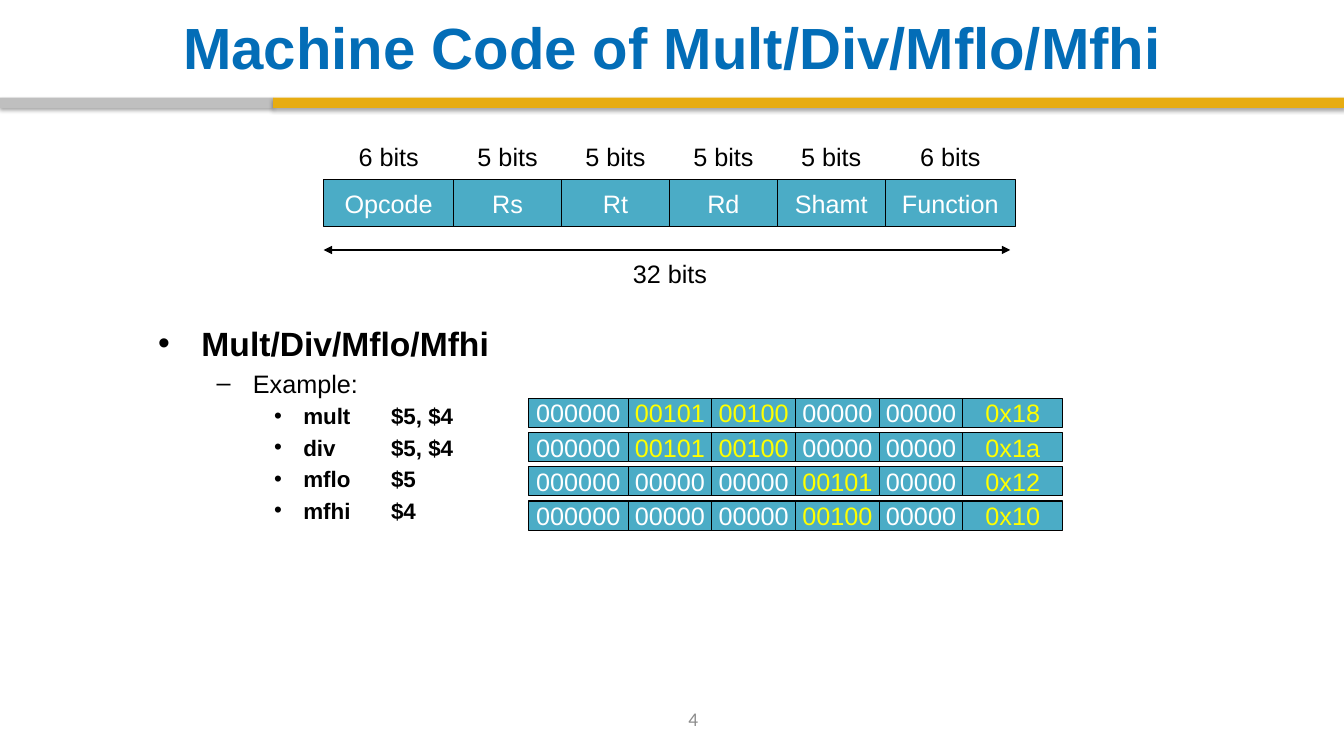
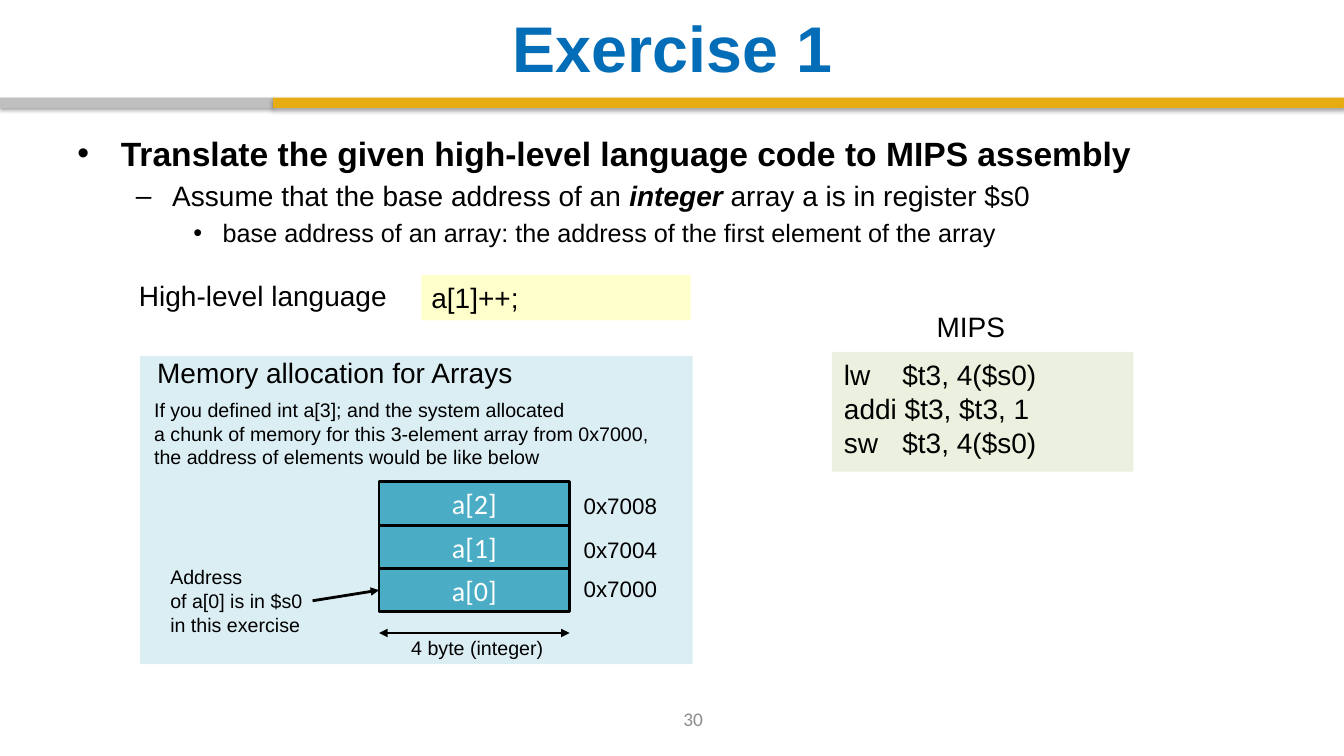
from dataclasses import dataclass
from itertools import accumulate
from typing import Optional, Sequence

from lxml.etree import SubElement
from pptx import Presentation
from pptx.dml.color import RGBColor
from pptx.enum.shapes import MSO_CONNECTOR as Connector, MSO_SHAPE as Preset
from pptx.enum.text import MSO_ANCHOR as Anchor, MSO_AUTO_SIZE as AutoSize, PP_ALIGN as Align
from pptx.oxml.ns import qn
from pptx.util import Inches, Pt


@dataclass(frozen=True)
class Theme:
    blue: str = "036DB7"
    gold: str = "E7AC11"
    band_gray: str = "BFBFBF"
    number_gray: str = "8C8C8C"
    teal: str = "4BACC6"
    pale_blue: str = "DBEEF4"
    pale_yellow: str = "FFFFCC"
    pale_green: str = "EBF1DE"
    yellow: str = "FFFF00"
    black: str = "000000"
    white: str = "FFFFFF"
    sans: str = "Arial"
    humanist: str = "Calibri"
    long_title: float = 41.5
    short_title: float = 46.1
    heading: float = 24
    large: float = 20
    field: float = 18
    code: float = 16
    note: float = 14
    page: float = 13.8


THEME = Theme()


@dataclass(frozen=True)
class Box:
    left: float
    top: float
    width: float
    height: float

    def emu(self) -> list:
        return [Inches(n) for n in (self.left, self.top, self.width, self.height)]


@dataclass(frozen=True)
class Style:
    size: float
    color: str = THEME.black
    font: str = THEME.sans
    bold: bool = False
    italic: bool = False
    align: Align = Align.LEFT
    anchor: Anchor = Anchor.TOP
    wrap: bool = False
    inset: Optional[tuple] = None
    tab: Optional[float] = None


@dataclass(frozen=True)
class Span:
    text: str
    bold: bool = False
    italic: bool = False


@dataclass(frozen=True)
class Bullet:
    level: int
    size: float
    spans: Sequence[Span]
    tab: Optional[float] = None


@dataclass(frozen=True)
class Instruction:
    name: str
    operands: str
    fields: Sequence[str]


@dataclass(frozen=True)
class Element:
    name: str
    address: str
    address_top: float


BULLET_LEVELS = [("•", 0.43, 0.43), ("–", 0.94, 0.36), ("•", 1.44, 0.29)]
FORMAT_FIELDS = [("Opcode", 6), ("Rs", 5), ("Rt", 5), ("Rd", 5), ("Shamt", 5), ("Function", 6)]
INSTRUCTIONS = [
    Instruction("mult", "$5, $4", ["000000", "00101", "00100", "00000", "00000", "0x18"]),
    Instruction("div", "$5, $4", ["000000", "00101", "00100", "00000", "00000", "0x1a"]),
    Instruction("mflo", "$5", ["000000", "00000", "00000", "00101", "00000", "0x12"]),
    Instruction("mfhi", "$4", ["000000", "00000", "00000", "00100", "00000", "0x10"]),
]
ELEMENTS = [
    Element("a[2]", "0x7008", 4.83),
    Element("a[1]", "0x7004", 5.27),
    Element("a[0]", "0x7000", 5.66),
]


def rgb(color: str) -> RGBColor:
    return RGBColor.from_string(color)


def add_run(paragraph, span: Span, style: Style) -> None:
    run = paragraph.add_run()
    run.text = span.text
    font = run.font
    font.name, font.size = style.font, Pt(style.size)
    font.bold, font.italic = style.bold or span.bold, style.italic or span.italic
    font.color.rgb = rgb(style.color)


def set_tab(paragraph, position: float) -> None:
    tabs = SubElement(paragraph._p.get_or_add_pPr(), qn("a:tabLst"))
    SubElement(tabs, qn("a:tab"), pos=str(Inches(position)), algn="l")


def write(shape, lines: Sequence[str], style: Style) -> None:
    frame = shape.text_frame
    frame.auto_size = AutoSize.NONE
    frame.word_wrap, frame.vertical_anchor = style.wrap, style.anchor
    if style.inset:
        across, down = (Inches(n) for n in style.inset)
        frame.margin_left = frame.margin_right = across
        frame.margin_top = frame.margin_bottom = down
    for index, line in enumerate(lines):
        paragraph = frame.add_paragraph() if index else frame.paragraphs[0]
        paragraph.alignment = style.align
        if style.tab:
            set_tab(paragraph, style.tab)
        add_run(paragraph, Span(line), style)


def add_text(slide, box: Box, lines: Sequence[str], style: Style):
    label = slide.shapes.add_textbox(*box.emu())
    write(label, lines, style)
    return label


def add_rect(slide, box: Box, fill: str, outline: float = 0):
    rect = slide.shapes.add_shape(Preset.RECTANGLE, *box.emu())
    rect.shadow.inherit = False
    rect.fill.solid()
    rect.fill.fore_color.rgb = rgb(fill)
    if outline:
        rect.line.color.rgb = rgb(THEME.black)
        rect.line.width = Pt(outline)
    else:
        rect.line.fill.background()
    return rect


def add_band(slide, box: Box, fill: str) -> None:
    band = add_rect(slide, box, fill)
    effects = band._element.spPr.find(qn("a:effectLst"))
    shadow = SubElement(effects, qn("a:outerShdw"), blurRad=str(Pt(3.1)), dist=str(Pt(1.8)),
                        dir="5400000", rotWithShape="0")
    tint = SubElement(shadow, qn("a:srgbClr"), val=THEME.black)
    SubElement(tint, qn("a:alpha"), val="35000")


def add_arrow(slide, start: tuple, end: tuple, both_ends: bool = False):
    points = [Inches(n) for n in (*start, *end)]
    arrow = slide.shapes.add_connector(Connector.STRAIGHT, *points)
    arrow.line.color.rgb = rgb(THEME.black)
    arrow.line.width = Pt(2)
    line = arrow.line._get_or_add_ln()
    for end_tag in ("a:headEnd", "a:tailEnd") if both_ends else ("a:tailEnd",):
        SubElement(line, qn(end_tag), type="triangle")
    SubElement(arrow._element.spPr, qn("a:effectLst"))
    return arrow


def add_bullets(slide, box: Box, bullets: Sequence[Bullet]) -> None:
    frame = slide.shapes.add_textbox(*box.emu()).text_frame
    frame.word_wrap = True
    for index, bullet in enumerate(bullets):
        paragraph = frame.add_paragraph() if index else frame.paragraphs[0]
        mark, indent, hang = BULLET_LEVELS[bullet.level]
        paragraph.level = bullet.level
        properties = paragraph._p.get_or_add_pPr()
        properties.set("marL", str(Inches(indent)))
        properties.set("indent", str(-Inches(hang)))
        SubElement(properties, qn("a:buFont"), typeface=THEME.sans)
        SubElement(properties, qn("a:buChar"), char=mark)
        if bullet.tab:
            set_tab(paragraph, bullet.tab)
        if index:
            paragraph.space_before = Pt(round(bullet.size * 0.2, 1))
        for span in bullet.spans:
            add_run(paragraph, span, Style(bullet.size))


def add_field_row(slide, left: float, top: float, height: float, widths: Sequence[float],
                  texts: Sequence[str], colors: Sequence[str], filled: bool = True) -> None:
    lefts = accumulate(widths[:-1], initial=left)
    for x, width, text, color in zip(lefts, widths, texts, colors):
        box = Box(x, top, width, height)
        style = Style(THEME.field, color, align=Align.CENTER, anchor=Anchor.MIDDLE)
        if filled:
            write(add_rect(slide, box, THEME.teal, 0.75), [text], style)
        else:
            add_text(slide, box, [text], style)


def start_slide(deck, title: str, title_size: float, number: int):
    slide = deck.slides.add_slide(deck.slide_layouts[5])
    heading = slide.shapes.title
    heading.left, heading.top, heading.width, heading.height = Box(0.67, 0.08, 12, 0.76).emu()
    write(heading, [title], Style(title_size, THEME.blue, bold=True, align=Align.CENTER,
                                  anchor=Anchor.MIDDLE, wrap=True))
    add_band(slide, Box(0, 0.97, 2.71, 0.1), THEME.band_gray)
    add_band(slide, Box(2.71, 0.97, 10.62, 0.1), THEME.gold)
    add_text(slide, Box(5.32, 6.93, 3.11, 0.4), [str(number)],
             Style(THEME.page, THEME.number_gray, THEME.humanist, align=Align.CENTER,
                   anchor=Anchor.MIDDLE, wrap=True))
    return slide


def build_machine_code(deck) -> None:
    slide = start_slide(deck, "Machine Code of Mult/Div/Mflo/Mfhi", THEME.long_title, 4)
    names = [name for name, _ in FORMAT_FIELDS]
    bit_counts = [f"{bits} bits" for _, bits in FORMAT_FIELDS]
    format_widths = [1.29, *[1.07] * 4, 1.29]
    add_field_row(slide, 3.21, 1.32, 0.47, format_widths, bit_counts, [THEME.black] * 6, False)
    add_field_row(slide, 3.21, 1.78, 0.47, format_widths, names, [THEME.white] * 6)
    add_arrow(slide, (3.21, 2.48), (10.02, 2.48), both_ends=True)
    add_text(slide, Box(6, 2.48, 1.29, 0.47), ["32 bits"],
             Style(THEME.field, align=Align.CENTER, anchor=Anchor.MIDDLE))

    add_bullets(slide, Box(1.47, 3.15, 10.38, 3.69), [
        Bullet(0, THEME.heading, [Span("Mult/Div/Mflo/Mfhi", bold=True)]),
        Bullet(1, THEME.field, [Span("Example:")]),
        *[Bullet(2, THEME.code, [Span(f"{item.name}\t{item.operands}", bold=True)], 2.31)
          for item in INSTRUCTIONS],
    ])
    for row, item in enumerate(INSTRUCTIONS):
        colors = [THEME.yellow if field.strip("0") else THEME.white for field in item.fields]
        add_field_row(slide, 5.24, 3.95 + 0.34 * row, 0.29, [0.99, *[0.83] * 4, 0.99],
                      item.fields, colors)


def build_exercise(deck) -> None:
    slide = start_slide(deck, "Exercise 1", THEME.short_title, 30)
    large, note = Style(THEME.large), Style(THEME.note)
    add_bullets(slide, Box(0.67, 1.27, 12, 1.3), [
        Bullet(0, THEME.heading, [
            Span("Translate the given high-level language code to MIPS assembly", bold=True)]),
        Bullet(1, THEME.large, [Span("Assume that the base address of an "),
                                Span("integer", bold=True, italic=True),
                                Span(" array a is in register $s0")]),
        Bullet(2, THEME.field, [
            Span("base address of an array: the address of the first element of the array")]),
    ])

    add_text(slide, Box(1.28, 2.71, 2.77, 0.45), ["High-level language"], large)
    statement = add_rect(slide, Box(4.18, 2.73, 2.67, 0.45), THEME.pale_yellow)
    write(statement, ["a[1]++;"], Style(THEME.large, wrap=True))
    add_text(slide, Box(9.19, 3.02, 0.91, 0.45), ["MIPS"], large)
    assembly = add_rect(slide, Box(8.25, 3.49, 2.99, 1.19), THEME.pale_green)
    write(assembly, ["lw\t$t3, 4($s0)", "addi $t3, $t3, 1", "sw\t$t3, 4($s0)"],
          Style(THEME.large, wrap=True, inset=(0.12, 0.06), tab=0.58))

    add_rect(slide, Box(1.39, 3.53, 5.48, 3.06), THEME.pale_blue)
    add_text(slide, Box(1.46, 3.48, 3.88, 0.45), ["Memory allocation for Arrays"], large)
    add_text(slide, Box(1.43, 3.9, 5.11, 0.8), [
        "If you defined int a[3]; and the system allocated",
        "a chunk of memory for this 3-element array from 0x7000,",
        "the address of elements would be like below"], note)
    for row, element in enumerate(ELEMENTS):
        cell = add_rect(slide, Box(3.76, 4.78 + 0.43 * row, 1.89, 0.43), THEME.teal, 2)
        write(cell, [element.name], Style(THEME.large, THEME.white, THEME.humanist,
                                          align=Align.CENTER, anchor=Anchor.MIDDLE, wrap=True))
        add_text(slide, Box(5.69, element.address_top, 0.95, 0.37), [element.address],
                 Style(THEME.code))
    base_note = add_text(slide, Box(1.59, 5.56, 1.51, 0.8),
                         ["Address", "of a[0] is in $s0", "in this exercise"], note)
    pointer = add_arrow(slide, (3.1, 5.96), (3.76, 5.85))
    pointer.begin_connect(base_note, 3)
    pointer.end_connect(cell, 1)
    add_arrow(slide, (3.76, 6.28), (5.65, 6.28), both_ends=True)
    add_text(slide, Box(3.98, 6.26, 1.51, 0.33), ["4 byte (integer)"], note)


def main() -> None:
    deck = Presentation()
    deck.slide_width, deck.slide_height = Inches(13.33), Inches(7.5)
    build_machine_code(deck)
    build_exercise(deck)
    deck.save("out.pptx")


if __name__ == "__main__":
    main()
